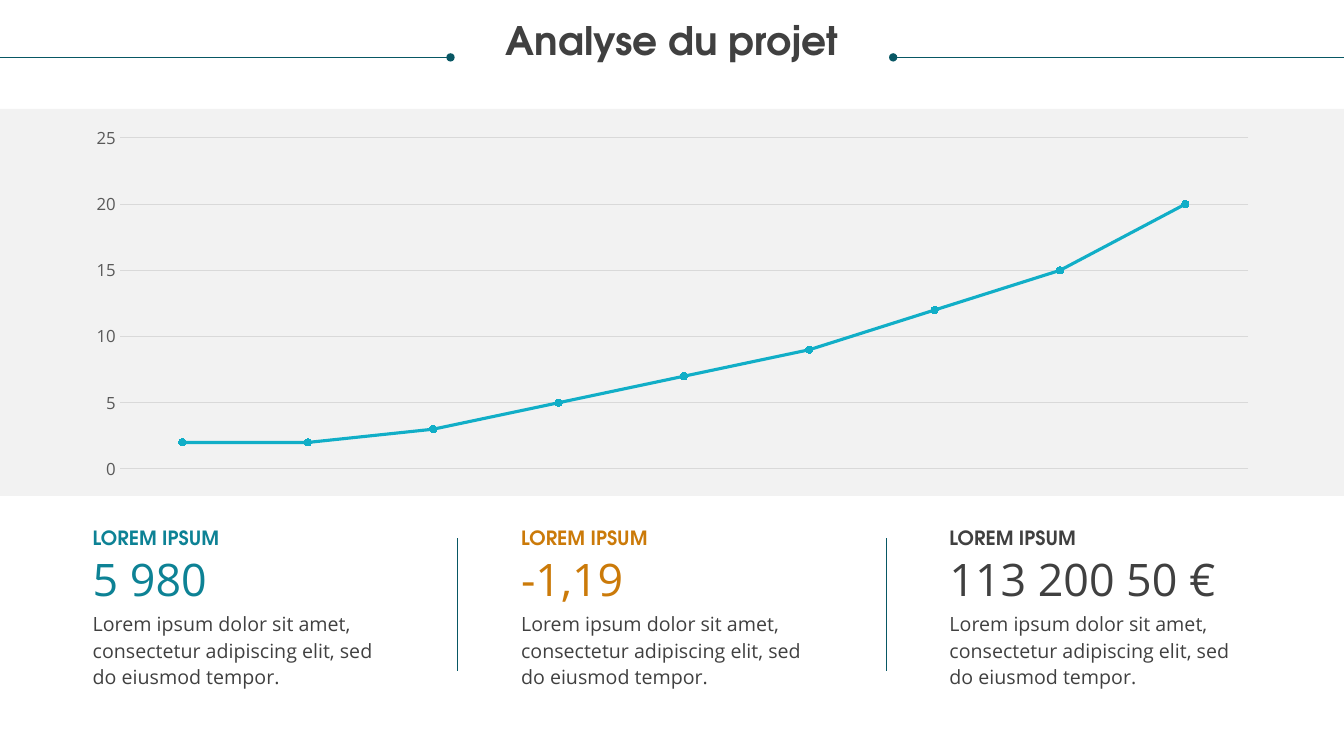
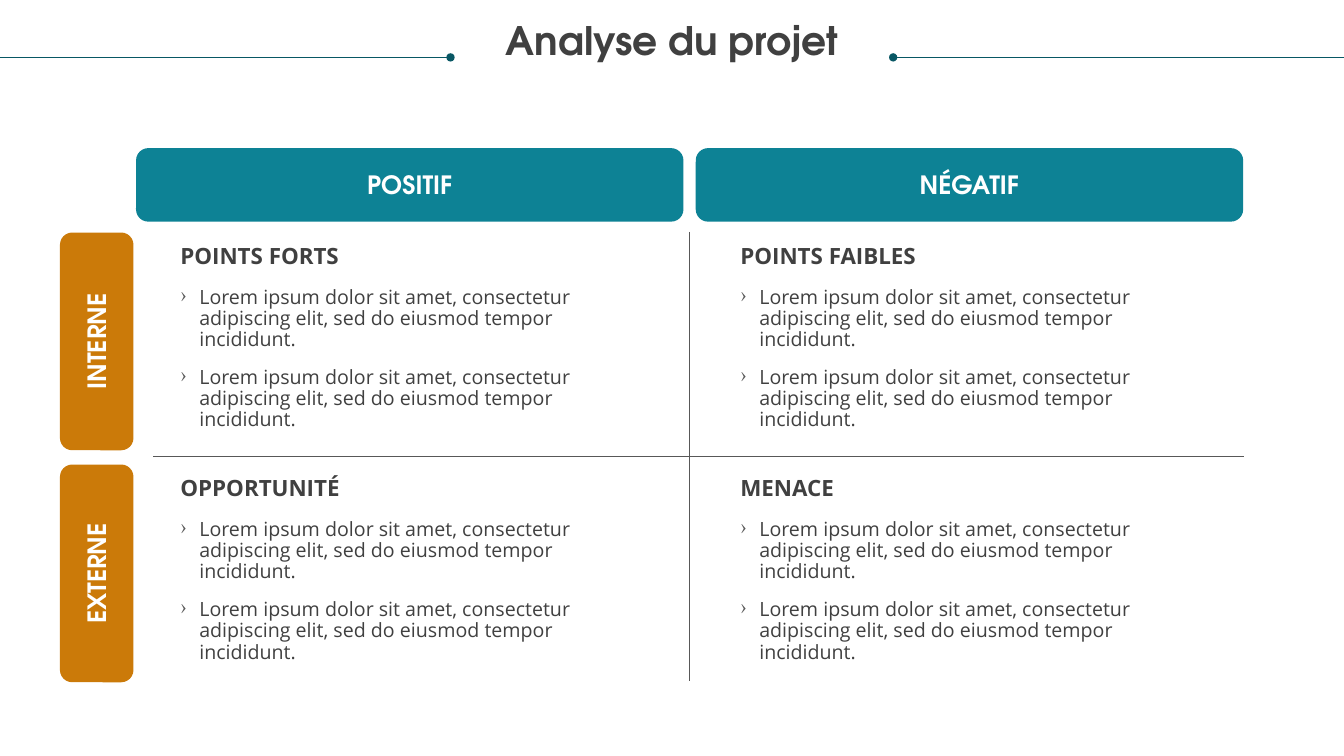
"""Build two project analysis slides: a trend with key figures and a SWOT grid."""
from lxml import etree
from pptx import Presentation
from pptx.chart.data import CategoryChartData
from pptx.dml.color import RGBColor
from pptx.enum.chart import XL_CHART_TYPE, XL_MARKER_STYLE, XL_TICK_MARK
from pptx.enum.shapes import MSO_CONNECTOR, MSO_SHAPE
from pptx.enum.text import MSO_ANCHOR, MSO_AUTO_SIZE, PP_ALIGN
from pptx.oxml.ns import qn
from pptx.util import Pt

TEAL = RGBColor(0x0D, 0x82, 0x95)
DARK_TEAL = RGBColor(0x08, 0x57, 0x64)
CYAN = RGBColor(0x11, 0xAE, 0xC7)
ORANGE = RGBColor(0xCB, 0x7A, 0x09)
INK = RGBColor(0x40, 0x40, 0x40)
GREY = RGBColor(0x58, 0x58, 0x58)
AXIS_GREY = RGBColor(0x59, 0x59, 0x59)
GRID_GREY = RGBColor(0xD9, 0xD9, 0xD9)
PALE_GREY = RGBColor(0xF2, 0xF2, 0xF2)
WHITE = RGBColor(0xFF, 0xFF, 0xFF)
HEADING_FONT = "TeX Gyre Adventor"
BODY_FONT = "Open Sans"
LOREM = "Lorem ipsum dolor sit amet, consectetur adipiscing elit, sed do eiusmod tempor"


def add_line(page, start, end, color, oval_end=None):
    line = page.shapes.add_connector(
        MSO_CONNECTOR.STRAIGHT, *(Pt(value) for value in start + end))
    line.line.color.rgb = color
    line.line.width = Pt(0.5)
    properties = line._element.spPr
    if oval_end:
        etree.SubElement(properties.find(qn("a:ln")), qn(oval_end), type="oval")
    etree.SubElement(properties, qn("a:effectLst"))


def write(shape, text, size, font, color, bold=False, align=PP_ALIGN.LEFT,
          anchor=MSO_ANCHOR.TOP, spacing=None):
    frame = shape.text_frame
    frame.word_wrap = True
    frame.auto_size = MSO_AUTO_SIZE.NONE
    frame.vertical_anchor = anchor
    frame.margin_left = frame.margin_right = frame.margin_top = frame.margin_bottom = 0
    frame.text = text
    for para in frame.paragraphs:
        para.alignment = align
        para.line_spacing = spacing
        for span in para.runs:
            span.font.size = Pt(size)
            span.font.name = font
            span.font.bold = bold
            span.font.color.rgb = color


deck = Presentation()
deck.slide_width, deck.slide_height = Pt(960), Pt(540)

for _ in range(2):
    page = deck.slides.add_slide(deck.slide_layouts[5])
    title = page.shapes.title
    title.left, title.top, title.width, title.height = Pt(18), Pt(15.12), Pt(924), Pt(56)
    write(title, "Analyse du projet", 28, HEADING_FONT, INK, True, PP_ALIGN.CENTER, spacing=0.9)
    add_line(page, (0, 41), (321.8, 41), DARK_TEAL, "a:tailEnd")
    add_line(page, (638, 41), (960, 41), DARK_TEAL, "a:headEnd")

trend_page, swot_page = deck.slides

band = trend_page.shapes.add_shape(MSO_SHAPE.RECTANGLE, 0, Pt(77.8), Pt(960), Pt(276.5))
band.shadow.inherit = False
band.fill.solid()
band.fill.fore_color.rgb = PALE_GREY
band.line.fill.background()

trend = CategoryChartData()
trend.categories = [str(number) for number in range(1, 10)]
trend.add_series("Series 1", (2, 2, 3, 5, 7, 9, 12, 15, 20))
chart = trend_page.shapes.add_chart(
    XL_CHART_TYPE.LINE_MARKERS, Pt(51.84), Pt(85), Pt(856.8), Pt(263.5), trend).chart
chart.has_legend = False
chart.has_title = False
chart.font.name = BODY_FONT
chart.font.size = Pt(10)
chart.category_axis.visible = False
axis = chart.value_axis
axis.minimum_scale, axis.maximum_scale, axis.major_unit = 0, 25, 5
axis.major_tick_mark = axis.minor_tick_mark = XL_TICK_MARK.NONE
axis.format.line.fill.background()
axis.major_gridlines.format.line.color.rgb = GRID_GREY
axis.major_gridlines.format.line.width = Pt(0.75)
axis.tick_labels.font.size = Pt(12)
axis.tick_labels.font.name = BODY_FONT
axis.tick_labels.font.color.rgb = AXIS_GREY
chart.plots[0].vary_by_categories = False
series = chart.plots[0].series[0]
series.smooth = False
series.format.line.color.rgb = CYAN
series.format.line.width = Pt(2.25)
series.marker.style = XL_MARKER_STYLE.CIRCLE
series.marker.size = 5
series.marker.format.fill.solid()
series.marker.format.fill.fore_color.rgb = CYAN
series.marker.format.line.color.rgb = CYAN

figures = [("5\u00a0980", TEAL), ("-1,19", ORANGE), ("113\u00a0200 50\u00a0€", INK)]
for column, (figure, color) in enumerate(figures):
    left = 66.24 + 306 * column
    for top, height, text, size, font, ink, bold, spacing in (
        (373.7, 19.4, "LOREM IPSUM", 14, HEADING_FONT, color, True, Pt(19)),
        (393.8, 38.9, figure, 32, BODY_FONT, color, False, None),
        (434.9, 57.6, LOREM + ".", 14, BODY_FONT, INK, False, Pt(19)),
    ):
        box = trend_page.shapes.add_textbox(Pt(left), Pt(top), Pt(216), Pt(height))
        write(box, text, size, font, ink, bold, spacing=spacing)
    if column:
        add_line(trend_page, (left - 45.4, 384.5), (left - 45.4, 479.5), DARK_TEAL)

labels = [
    ("POSITIF", 97.2, 105.84, 391, TEAL, 0),
    ("NÉGATIF", 497, 105.84, 391, TEAL, 0),
    ("INTERNE", -8.64, 217.6, 155.5, ORANGE, 270),
    ("EXTERNE", -8.64, 383.3, 155.5, ORANGE, 270),
]
for text, left, top, width, color, rotation in labels:
    label = swot_page.shapes.add_shape(
        MSO_SHAPE.ROUNDED_RECTANGLE, Pt(left), Pt(top), Pt(width), Pt(52.5))
    label.rotation = rotation
    label.shadow.inherit = False
    label.fill.solid()
    label.fill.fore_color.rgb = color
    label.line.fill.background()
    write(label, text, 18, HEADING_FONT, WHITE, True, PP_ALIGN.CENTER, MSO_ANCHOR.MIDDLE)

add_line(swot_page, (109.4, 326.2), (888.5, 326.2), GREY)
add_line(swot_page, (492.5, 165.6), (492.5, 486.7), GREY)

quadrants = ["POINTS FORTS", "POINTS FAIBLES", "OPPORTUNITÉ", "MENACE"]
for index, heading in enumerate(quadrants):
    row, column = divmod(index, 2)
    left, top = 128.9 + 400 * column, 173 + 165.8 * row
    box = swot_page.shapes.add_textbox(Pt(left), Pt(top), Pt(327.6), Pt(19.4))
    write(box, heading, 16, BODY_FONT, INK, True)
    points = swot_page.shapes.add_textbox(Pt(left), Pt(top + 32.2), Pt(327.6), Pt(115))
    write(points, "\n".join([LOREM + " incididunt."] * 2), 14, BODY_FONT, INK, spacing=0.9)
    for para in points.text_frame.paragraphs:
        para.space_after = Pt(12)
        properties = para._p.get_or_add_pPr()
        properties.set("marL", str(Pt(13.5)))
        properties.set("indent", str(Pt(-13.5)))
        bullet_color = etree.SubElement(properties, qn("a:buClr"))
        etree.SubElement(bullet_color, qn("a:srgbClr"), val=str(GREY))
        etree.SubElement(properties, qn("a:buChar"), char="›")

deck.save("out.pptx")
